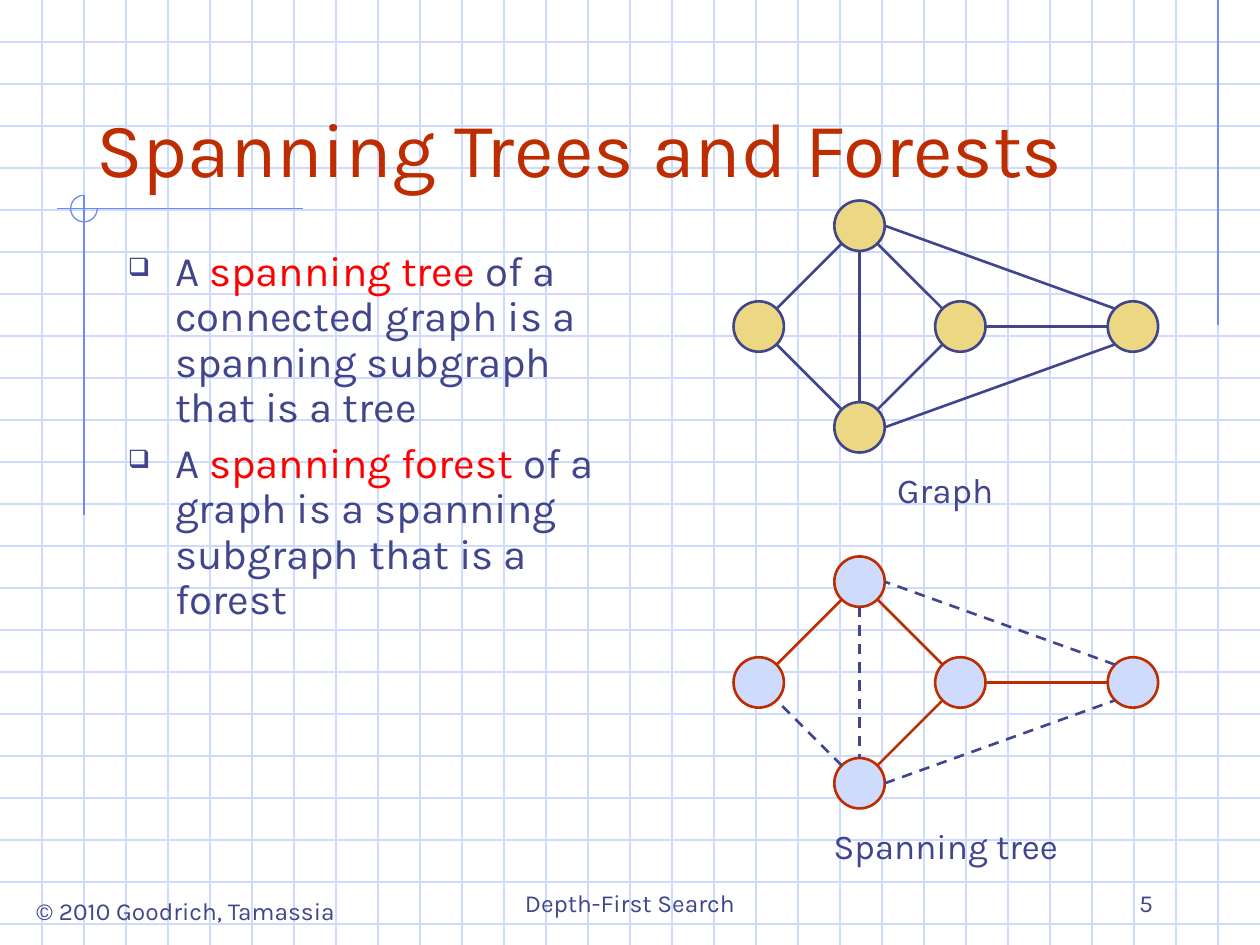
import pptx
import pptx.dml.color
import pptx.enum.dml
import pptx.enum.shapes
import pptx.enum.text
import pptx.util
from dataclasses import dataclass
from lxml import etree

Pt = pptx.util.Pt
Align = pptx.enum.text.PP_ALIGN
Anchor = pptx.enum.text.MSO_ANCHOR
Kind = pptx.enum.shapes.MSO_SHAPE


@dataclass(frozen=True)
class Theme:
    font: str = "Karla"
    ink: str = "40458C"
    rust: str = "BE2D00"
    red: str = "FF0000"
    gold: str = "ECD882"
    pale: str = "CFDBFD"
    rule: str = "6F89F7"
    title: float = 44
    body: float = 24
    label: float = 20
    foot: float = 14
    thin: float = 0.75
    edge: float = 1.5


T = Theme()
WIDE, HIGH, GRID = 720, 540, 24
SIZE, STEP = 28.8, 57.6  # node diameter, distance to the central point

# Node centres, relative to the middle of the diamond
NODES = {"west": (-STEP, 0), "east": (STEP, 0), "top": (0, -STEP),
         "base": (0, STEP), "far": (156.2, 0)}
# Each edge: node, side it leaves from, node, side it arrives at
EDGES = [
    ("top", (-1, 1), "west", (1, -1)),
    ("base", (-1, -1), "west", (1, 1)),
    ("base", (1, -1), "east", (-1, 1)),
    ("top", (1, 1), "east", (-1, -1)),
    ("top", (0, 1), "base", (0, -1)),
    ("east", (1, 0), "far", (-1, 0)),
    ("base", (1, 0), "far", (-1, 1)),
    ("far", (-1, -1), "top", (1, 0)),
]
TREE = {("top", "west"), ("base", "east"), ("top", "east"), ("east", "far")}


def rgb(code):
    return pptx.dml.color.RGBColor.from_string(code)


def add_line(slide, start, end, color, width, dash=False):
    line = slide.shapes.add_connector(
        pptx.enum.shapes.MSO_CONNECTOR.STRAIGHT,
        *(Pt(v) for v in (*start, *end)))
    line.line.color.rgb = rgb(color)
    line.line.width = Pt(width)
    if dash:
        line.line.dash_style = pptx.enum.dml.MSO_LINE.DASH
    etree.SubElement(line._element.spPr, pptx.oxml.ns.qn("a:effectLst"))


def add_round(slide, kind, mid, size, color, width, fill=None):
    x, y = mid
    shape = slide.shapes.add_shape(
        kind, Pt(x - size / 2), Pt(y - size / 2), Pt(size), Pt(size))
    shape.shadow.inherit = False
    if fill:
        shape.fill.solid()
        shape.fill.fore_color.rgb = rgb(fill)
    else:
        shape.fill.background()
    shape.line.color.rgb = rgb(color)
    shape.line.width = Pt(width)
    return shape


def set_font(para, size, color):
    para.font.name = T.font
    para.font.size = Pt(size)
    para.font.color.rgb = rgb(color)


def add_frame(slide, box, anchor=Anchor.TOP, wrap=True):
    frame = slide.shapes.add_textbox(*(Pt(v) for v in box)).text_frame
    frame.word_wrap = wrap
    frame.vertical_anchor = anchor
    return frame


def add_text(slide, box, text, size, color=T.ink, align=Align.CENTER,
             anchor=Anchor.TOP, wrap=True):
    para = add_frame(slide, box, anchor, wrap).paragraphs[0]
    para.text = text
    para.alignment = align
    set_font(para, size, color)


def add_bullet(para):
    props = para._p.get_or_add_pPr()
    props.set("marL", str(Pt(27)))
    props.set("indent", str(-Pt(27)))
    qn = pptx.oxml.ns.qn
    tint = etree.SubElement(props, qn("a:buClr"))
    etree.SubElement(tint, qn("a:srgbClr"), val=T.ink)
    etree.SubElement(props, qn("a:buSzPct"), val="60000")
    etree.SubElement(props, qn("a:buChar"), char="❑")


def add_list(slide, box, items):
    frame = add_frame(slide, box)
    for i, parts in enumerate(items):
        para = frame.add_paragraph() if i else frame.paragraphs[0]
        add_bullet(para)
        para.line_spacing = 0.9
        para.space_before = Pt(6)
        set_font(para, T.body, T.ink)
        for j, part in enumerate(parts):
            run = para.add_run()
            run.text = part
            if j == 1:  # the defined term
                run.font.color.rgb = rgb(T.red)


def find_site(mid, node, side):
    """Point on the rim of a node, facing the given side."""
    reach = SIZE / 2 / (abs(side[0]) + abs(side[1])) ** 0.5
    return [m + n + reach * s for m, n, s in zip(mid, NODES[node], side)]


def add_graph(slide, mid, fill, color, tree=None):
    for dx, dy in NODES.values():
        add_round(slide, Kind.OVAL, (mid[0] + dx, mid[1] + dy), SIZE,
                  color, T.edge, fill)
    for a, out, b, into in EDGES:
        loose = tree is not None and (a, b) not in tree
        add_line(slide, find_site(mid, a, out), find_site(mid, b, into),
                 T.ink if loose else color, T.edge, loose)


def add_paper(slide):
    for y in range(GRID, HIGH, GRID):
        add_line(slide, (0, y), (WIDE, y), T.pale, T.thin)
    for x in range(GRID, WIDE, GRID):
        add_line(slide, (x, 0), (x, HIGH), T.pale, T.thin)
    # Darker rules and the three-quarter ring
    for start, end in [((696, 0), (696, 186)), ((173, 119.3), (32.5, 119.3)),
                       ((48, 111.5), (48, 294.5))]:
        add_line(slide, start, end, T.rule, T.thin)
    ring = add_round(slide, Kind.ARC, (48, 119.2), 15.2, T.rule, T.thin)
    ring.adjustments[0] = 0
    ring.adjustments[1] = 162  # 270 degrees, in 60000ths over 100000


def main():
    deck = pptx.Presentation()
    deck.slide_width, deck.slide_height = Pt(WIDE), Pt(HIGH)
    slide = deck.slides.add_slide(deck.slide_layouts[6])
    add_paper(slide)

    # Footer
    add_text(slide, (8.6, 508.3, 195, 24.5), "© 2010 Goodrich, Tamassia",
             T.foot, wrap=False)
    add_text(slide, (246, 492, 228, 36), "Depth-First Search", T.foot,
             anchor=Anchor.BOTTOM)
    add_text(slide, (516, 492, 150, 36), "5", T.foot, align=Align.RIGHT,
             anchor=Anchor.BOTTOM)

    # Title and definitions
    add_text(slide, (48, 24, 612, 90), "Spanning Trees and Forests",
             T.title, T.rust, Align.LEFT, Anchor.BOTTOM)
    add_list(slide, (66, 139.5, 282, 334), [
        ("A ", "spanning tree ",
         "of a connected graph is a spanning subgraph that is a tree"),
        ("A ", "spanning forest ",
         "of a graph is a spanning subgraph that is a forest"),
    ])

    # Graph and its spanning tree
    add_text(slide, (427.7, 264.3, 225, 31.7), "Graph", T.label)
    add_text(slide, (396.7, 467.5, 287.5, 31.7), "Spanning tree", T.label)
    add_graph(slide, (491.2, 186.6), T.gold, T.ink)
    add_graph(slide, (491.2, 390), T.pale, T.rust, TREE)

    deck.save("out.pptx")


if __name__ == "__main__":
    main()
